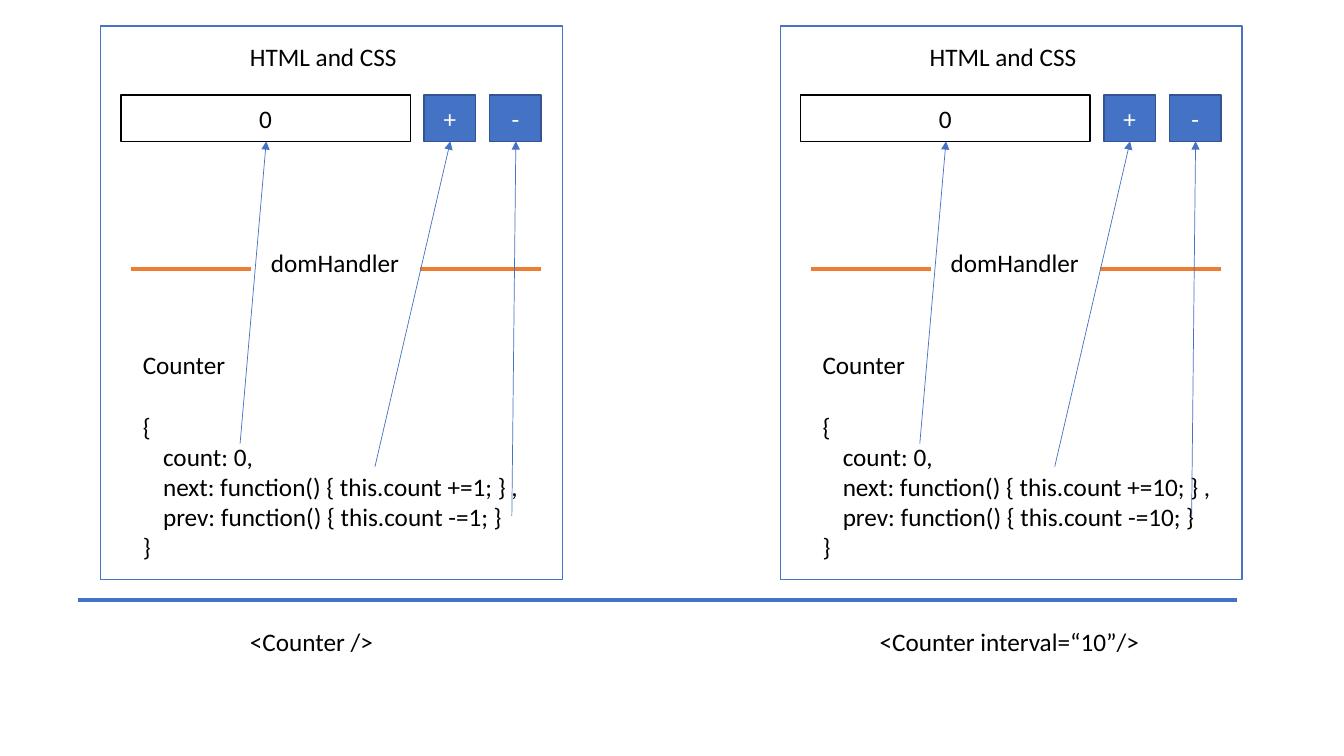
from dataclasses import dataclass

from lxml import etree
from pptx import Presentation
from pptx import util as u
from pptx.dml.color import RGBColor
from pptx.enum import shapes, text
from pptx.oxml.ns import qn

BLUE, DARK_BLUE, ORANGE = "4472C4", "325491", "ED7D31"
BLACK, WHITE = "000000", "FFFFFF"
BOX_TOP, BOX_HEIGHT = 2.39, 1.17
BOX_BOTTOM = BOX_TOP + BOX_HEIGHT
DIVIDER_Y = 6.78
LABEL_HEIGHT = 1.02


@dataclass
class Box:
    left: float
    top: float
    width: float
    height: float
    fill: str
    line: str
    content: str = ""
    color: str = BLACK


@dataclass
class Label:
    left: float
    top: float
    width: float
    content: str


@dataclass
class Line:
    x1: float
    y1: float
    x2: float
    y2: float
    color: str
    weight: float
    arrow: bool = False


@dataclass
class Panel:
    left: float
    step: int
    code_width: float
    tag: Label


BOXES = [
    Box(0, 0.66, 11.63, 13.94, WHITE, BLUE),
    Box(0.51, BOX_TOP, 7.29, BOX_HEIGHT, WHITE, BLACK, "0"),
    Box(8.15, BOX_TOP, 1.3, BOX_HEIGHT, BLUE, DARK_BLUE, "+", WHITE),
    Box(9.8, BOX_TOP, 1.3, BOX_HEIGHT, BLUE, DARK_BLUE, "-", WHITE),
]
LABELS = [
    Label(3.51, 0.91, 4.24, "HTML and CSS"),
    Label(4.04, 6.1, 3.78, "domHandler"),
]
LINES = [
    Line(0.76, DIVIDER_Y, 3.78, DIVIDER_Y, ORANGE, 2.25),
    Line(8.05, DIVIDER_Y, 11.1, DIVIDER_Y, ORANGE, 2.25),
    Line(3.51, 11.18, 4.17, BOX_BOTTOM, BLUE, 0.5, True),
    Line(6.91, 11.76, 8.81, BOX_BOTTOM, BLUE, 0.5, True),
    Line(10.36, 13, 10.46, BOX_BOTTOM, BLUE, 0.5, True),
]
PANELS = [
    Panel(2.54, 1, 10.08, Label(6.05, 15.65, 3.66, "<Counter />")),
    Panel(19.67, 10, 10.41, Label(21.92, 15.65, 7.14, "<Counter interval=“10”/>")),
]


def rgb(value: str) -> RGBColor:
    return RGBColor.from_string(value)


def style_text(frame, color: str) -> None:
    for para in frame.paragraphs:
        for span in para.runs:
            span.font.name = "Calibri"
            span.font.size = u.Pt(18)
            span.font.color.rgb = rgb(color)


def draw_box(page, box: Box, origin: float) -> None:
    shape = page.shapes.add_shape(
        shapes.MSO_SHAPE.RECTANGLE,
        u.Cm(origin + box.left), u.Cm(box.top), u.Cm(box.width), u.Cm(box.height),
    )
    shape.shadow.inherit = False
    shape.fill.solid()
    shape.fill.fore_color.rgb = rgb(box.fill)
    shape.line.color.rgb = rgb(box.line)
    shape.line.width = u.Pt(1)
    if box.content:
        frame = shape.text_frame
        frame.text = box.content
        frame.vertical_anchor = text.MSO_ANCHOR.MIDDLE
        frame.paragraphs[0].alignment = text.PP_ALIGN.CENTER
        style_text(frame, box.color)


def draw_label(page, label: Label, origin: float = 0, height: float = LABEL_HEIGHT):
    shape = page.shapes.add_textbox(
        u.Cm(origin + label.left), u.Cm(label.top), u.Cm(label.width), u.Cm(height)
    )
    frame = shape.text_frame
    frame.word_wrap = False
    frame.auto_size = text.MSO_AUTO_SIZE.SHAPE_TO_FIT_TEXT
    frame.text = label.content
    style_text(frame, BLACK)
    return frame


def draw_line(page, line: Line, origin: float = 0) -> None:
    connector = page.shapes.add_connector(
        shapes.MSO_CONNECTOR.STRAIGHT,
        u.Cm(origin + line.x1), u.Cm(line.y1), u.Cm(origin + line.x2), u.Cm(line.y2),
    )
    connector.line.color.rgb = rgb(line.color)
    connector.line.width = u.Pt(line.weight)
    if line.arrow:
        outline = connector.line._get_or_add_ln()
        etree.SubElement(outline, qn("a:tailEnd"), type="triangle")
    etree.SubElement(connector._element.spPr, qn("a:effectLst"))


def draw_code(page, panel: Panel) -> None:
    members = [
        "count: 0,",
        f"next: function() {{ this.count +={panel.step}; }} ,",
        f"prev: function() {{ this.count -={panel.step}; }}",
    ]
    content = "\n".join(["Counter", "{", *members, "}"])
    frame = draw_label(page, Label(0.81, 8.69, panel.code_width, content), panel.left, 5.64)
    frame.paragraphs[1].space_before = u.Pt(22)
    for para in frame.paragraphs[2:-1]:
        para._p.get_or_add_pPr().set("marL", str(u.Cm(0.51)))


def draw_panel(page, panel: Panel) -> None:
    for box in BOXES:
        draw_box(page, box, panel.left)
    for label in LABELS:
        draw_label(page, label, panel.left)
    draw_code(page, panel)
    for line in LINES:
        draw_line(page, line, panel.left)
    draw_label(page, panel.tag)


def main() -> None:
    deck = Presentation()
    deck.slide_width, deck.slide_height = u.Cm(33.87), u.Cm(19.05)
    page = deck.slides.add_slide(deck.slide_layouts[6])
    for panel in PANELS:
        draw_panel(page, panel)
    draw_line(page, Line(1.96, 15.11, 31.17, 15.11, BLUE, 3))
    deck.save("out.pptx")


if __name__ == "__main__":
    main()
